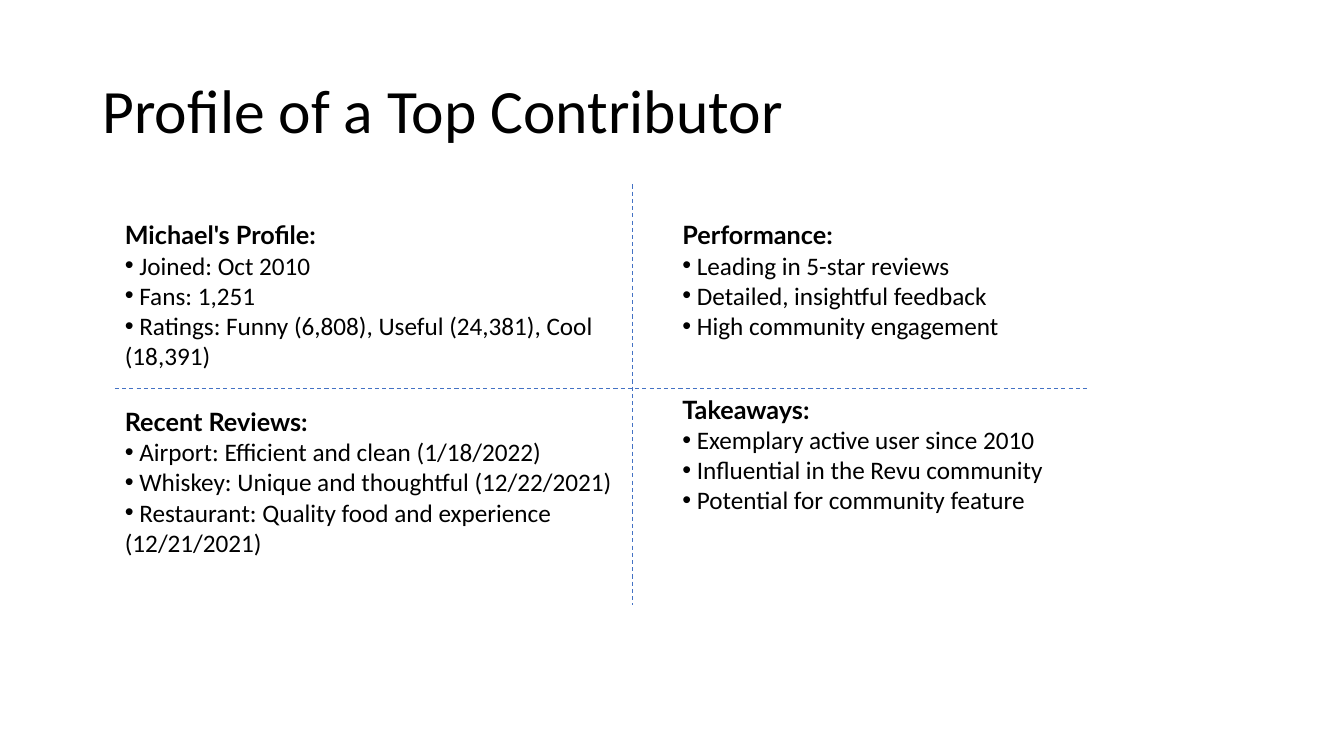
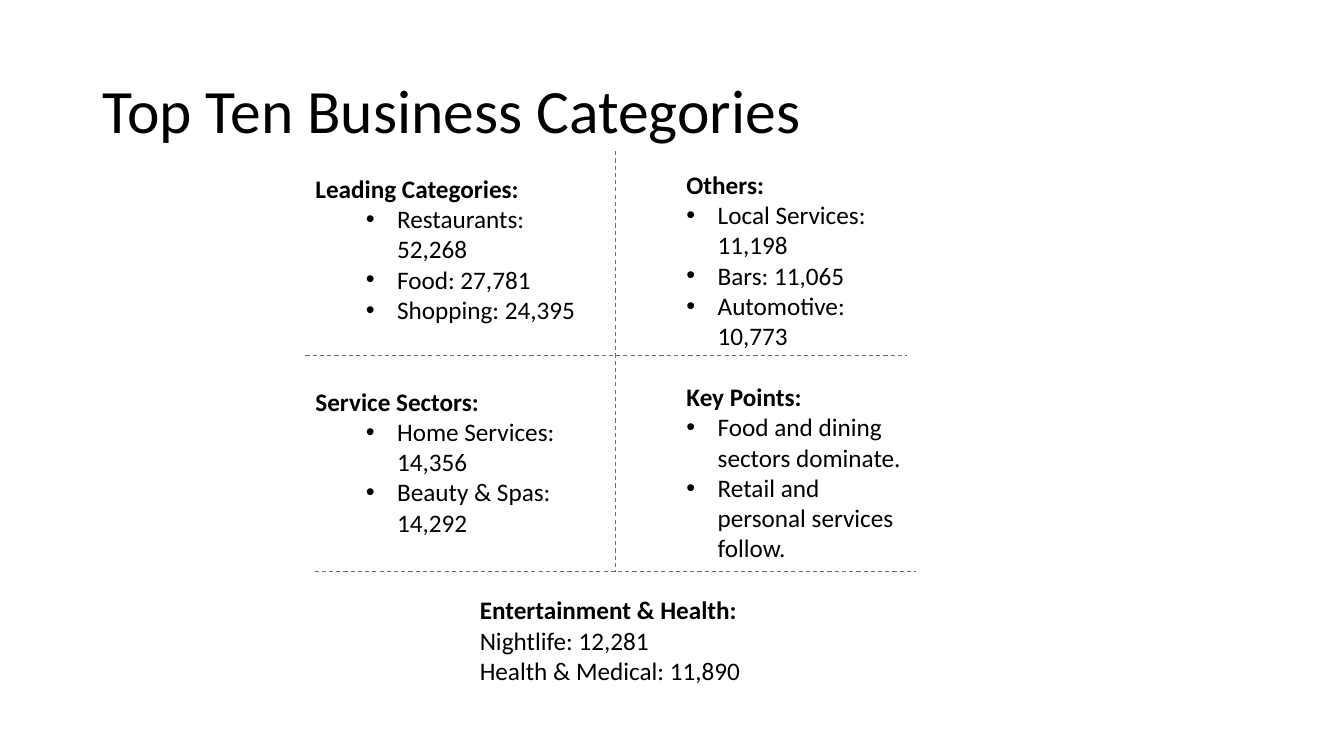
from lxml.etree import SubElement
from pptx import Presentation
from pptx.dml.color import RGBColor
from pptx.enum.dml import MSO_LINE
from pptx.enum.shapes import MSO_CONNECTOR
from pptx.enum.text import MSO_ANCHOR
from pptx.oxml.ns import qn
from pptx.util import Inches, Pt

BLACK = RGBColor(0x00, 0x00, 0x00)
BLUE = RGBColor(0x44, 0x72, 0xC4)
BODY = "Calibri"
HEAD = "Lato"
LINE = 22


def add_run(para, text, size=18, font=BODY, bold=False):
    """Add one styled run to a paragraph."""
    run = para.add_run()
    run.text = text
    run.font.size = Pt(size)
    run.font.name = font
    run.font.bold = bold
    run.font.color.rgb = BLACK


def add_frame(slide, box):
    """Add a wrapping text box and return its frame."""
    frame = slide.shapes.add_textbox(*map(Inches, box)).text_frame
    frame.word_wrap = True
    return frame


def set_indent(para, left, hang=0, bullet=False):
    """Set the margin, hanging indent and bullet of a paragraph."""
    props = para._p.get_or_add_pPr()
    props.set("marL", str(Inches(left)))
    props.set("indent", str(Inches(-hang)))
    if bullet:
        SubElement(props, qn("a:buFont")).set("typeface", "Arial")
        SubElement(props, qn("a:buChar")).set("char", "•")


def add_title(slide, text):
    """Place the slide title."""
    frame = add_frame(slide, (0.92, 0.4, 11.5, 1.45))
    frame.vertical_anchor = MSO_ANCHOR.MIDDLE
    para = frame.paragraphs[0]
    para.line_spacing = 0.9
    add_run(para, text, 44)


def add_list(slide, box, groups, font=BODY, inset=0, left=0, hang=0,
             bullet=True, gap=0):
    """Fill a box with groups of a bold heading and its items."""
    frame = add_frame(slide, box)
    for num, (head, items) in enumerate(groups):
        para = frame.add_paragraph() if num else frame.paragraphs[0]
        if num:
            para.space_before = Pt(gap)
        set_indent(para, inset)
        add_run(para, head, font=font, bold=True)
        for item in items:
            para = frame.add_paragraph()
            set_indent(para, left, hang, bullet)
            add_run(para, item)


def add_rule(slide, x, y, width=0, height=0):
    """Draw a dashed rule from a corner, across or down."""
    rule = slide.shapes.add_connector(
        MSO_CONNECTOR.STRAIGHT,
        *map(Inches, (x, y, x + width, y + height)))
    rule.line.color.rgb = BLUE
    rule.line.width = Pt(0.75)
    rule.line.dash_style = MSO_LINE.DASH
    SubElement(rule._element.spPr, qn("a:effectLst"))


def add_cross(slide, box, mid_x, mid_y):
    """Split a box into quarters with two rules."""
    x, y, width, height = box
    add_rule(slide, x + mid_x, y, height=height)
    add_rule(slide, x, y + mid_y, width=width)


def build_profile(slide):
    """Build the contributor profile in four quarters."""
    add_title(slide, "Profile of a Top Contributor")
    left, right, width = 1.14, 6.67, 5.52
    panels = [
        (left, 2.13, 1.92, "Michael's Profile:",
         [" Joined: Oct 2010", " Fans: 1,251",
          " Ratings: Funny (6,808), Useful (24,381), Cool (18,391)"]),
        (right, 2.13, 1.62, "Performance:",
         [" Leading in 5-star reviews", " Detailed, insightful feedback",
          " High community engagement"]),
        (left, 3.98, 1.92, "Recent Reviews:",
         [" Airport: Efficient and clean (1/18/2022)",
          " Whiskey: Unique and thoughtful (12/22/2021)",
          " Restaurant: Quality food and experience (12/21/2021)"]),
        (right, 3.86, 1.62, "Takeaways:",
         [" Exemplary active user since 2010",
          " Influential in the Revu community",
          " Potential for community feature"]),
    ]
    for x, y, height, head, items in panels:
        add_list(slide, (x, y, width, height), [(head, items)], HEAD)
    add_cross(slide, (left, 1.83, 9.67, 4.17), 5.13, 2.02)


def build_ranks(slide):
    """Build the category ranking in four quarters and a foot."""
    add_title(slide, "Top Ten Business Categories")
    width, hang = 2.88, 0.31
    add_list(slide, (3.03, 1.67, width, 3.74), [
        ("Leading Categories:",
         ["Restaurants: 52,268", "Food: 27,781", "Shopping: 24,395"]),
        ("Service Sectors:",
         ["Home Services: 14,356", "Beauty & Spas: 14,292"]),
    ], left=0.81, hang=hang, gap=2 * LINE)
    add_list(slide, (6.21, 1.63, width, 4.04), [
        ("Others:",
         ["Local Services: 11,198", "Bars: 11,065", "Automotive: 10,773"]),
        ("Key Points:",
         ["Food and dining sectors dominate.",
          "Retail and personal services follow."]),
    ], inset=0.5, left=0.81, hang=hang, gap=LINE)
    add_list(slide, (4.66, 5.85, width, 1.01), [
        ("Entertainment & Health:",
         ["Nightlife: 12,281", "Health & Medical: 11,890"]),
    ], left=hang, hang=hang, bullet=False)
    add_cross(slide, (3.03, 1.5, 5.97, 4.17), 3.07, 2.03)
    add_rule(slide, 3.12, 5.67, width=5.97)


def main():
    """Build both slides and save the deck."""
    deck = Presentation()
    deck.slide_width = Inches(13.33)
    deck.slide_height = Inches(7.5)
    for build in (build_profile, build_ranks):
        build(deck.slides.add_slide(deck.slide_layouts[6]))
    deck.save("out.pptx")


if __name__ == "__main__":
    main()
